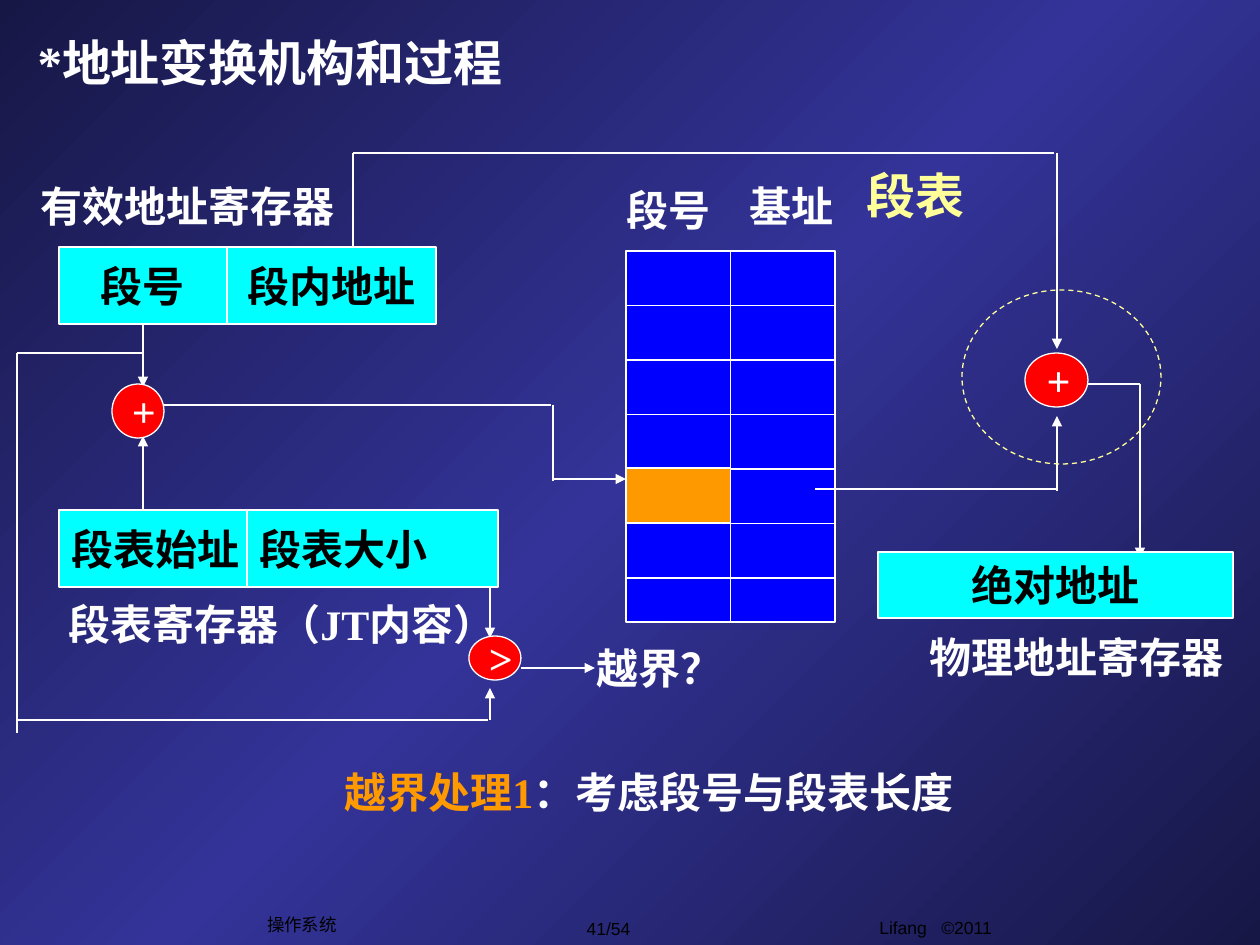
from copy import deepcopy

from pptx import Presentation
from pptx.dml.color import RGBColor
from pptx.enum.dml import MSO_LINE
from pptx.enum.shapes import MSO_CONNECTOR, MSO_SHAPE
from pptx.enum.text import MSO_ANCHOR, MSO_AUTO_SIZE, PP_ALIGN
from pptx.oxml.ns import qn
from pptx.util import Pt
from lxml.etree import SubElement

SCALE = 914400 / 126
NAVY = RGBColor(0x17, 0x17, 0x46)
INDIGO = RGBColor(0x33, 0x33, 0x99)
WHITE = RGBColor(0xFF, 0xFF, 0xFF)
BLACK = RGBColor(0, 0, 0)
CYAN = RGBColor(0, 0xFF, 0xFF)
RED = RGBColor(0xFF, 0, 0)
BLUE = RGBColor(0, 0, 0xFF)
ORANGE = RGBColor(0xFF, 0x99, 0)
YELLOW = RGBColor(0xFF, 0xFF, 0x99)
SERIF = "Times New Roman"
LEFT, MID = PP_ALIGN.LEFT, PP_ALIGN.CENTER
RECT, OVAL = MSO_SHAPE.RECTANGLE, MSO_SHAPE.OVAL

LABELS = [
    ("段表寄存器（JT内容）", (56, 592, 476, 63)),
    ("物理地址寄存器", (917, 625, 322, 63)),
    ("有效地址寄存器", (28, 174, 322, 63)),
    ("越界？", (584, 636, 154, 63)),
    ("段号", (614, 178, 114, 63)),
    ("基址", (737, 174, 114, 63)),
]
CELLS = [
    ("段号", (59, 247, 168, 77), MID),
    ("段内地址", (227, 247, 209, 77), MID),
    ("段表始址", (59, 510, 188, 77), LEFT),
    ("段表大小", (247, 510, 251, 77), LEFT),
    ("绝对地址", (878, 552, 355, 66), MID),
]
NODES = [
    ("+", (112, 384, 52, 54)),
    (">", (469, 636, 52, 44)),
    ("+", (1025, 353, 63, 54)),
]
WIRES = [
    (164, 405, 551, 405), (553, 405, 553, 481),
    (353, 251, 353, 153), (353, 153, 1054, 153),
    (143, 353, 17, 353), (17, 353, 17, 733), (17, 720, 488, 720),
    (815, 489, 1056, 489), (1088, 384, 1140, 384),
]
ARROWS = [
    (143, 321, 143, 387), (143, 513, 143, 436), (553, 479, 626, 479),
    (1057, 491, 1057, 416), (1057, 153, 1057, 349), (490, 584, 490, 638),
    (490, 720, 490, 688), (521, 668, 595, 668), (1140, 384, 1140, 558),
]


def emu(*vals):
    """Turn px lengths into EMU."""
    return [round(val * SCALE) for val in vals]


def style(part, size, color, face=SERIF, bold=True):
    """Format one run."""
    font = part.font
    font.name, font.size, font.bold = face, Pt(size), bold
    font.color.rgb = color


def write(shape, text, size, color, align=LEFT, wrap=False, **look):
    """Put one formatted paragraph into a shape."""
    frame = shape.text_frame
    frame.text = text
    frame.word_wrap = wrap
    line = frame.paragraphs[0]
    line.alignment = align
    style(line.runs[0], size, color, **look)
    return frame


def label(slide, text, box, size=24, color=WHITE, **look):
    """Add a text box."""
    shape = slide.shapes.add_textbox(*emu(*box))
    frame = write(shape, text, size, color, **look)
    frame.auto_size = MSO_AUTO_SIZE.SHAPE_TO_FIT_TEXT
    return frame


def block(slide, kind, box, fill=None, edge=WHITE):
    """Add a thinly outlined shape."""
    shape = slide.shapes.add_shape(kind, *emu(*box))
    shape.shadow.inherit = False
    if fill is None:
        shape.fill.background()
    else:
        shape.fill.solid()
        shape.fill.fore_color.rgb = fill
    shape.line.color.rgb = edge
    shape.line.width = Pt(0.75)
    return shape


def wire(slide, ends, tip=False):
    """Add a straight line, with an arrowhead if asked."""
    link = slide.shapes.add_connector(MSO_CONNECTOR.STRAIGHT, *emu(*ends))
    link.line.color.rgb = WHITE
    link.line.width = Pt(0.75)
    if tip:
        SubElement(link.line._get_or_add_ln(), qn("a:tailEnd"), type="triangle")
    SubElement(link._element.spPr, qn("a:effectLst"))


def paint(slide):
    """Fill the background with a diagonal three-stop gradient."""
    fill = slide.background.fill
    fill.gradient()
    fill.gradient_angle = 135
    stops = slide.element.find(".//" + qn("a:gsLst"))
    stops.insert(1, deepcopy(stops[0]))
    looks = zip(fill.gradient_stops, (0, 0.5, 1), (NAVY, INDIGO, NAVY))
    for stop, place, color in looks:
        stop.position = place
        stop.color.rgb = color


def head(slide):
    """Fill the title placeholder."""
    title = slide.shapes.title
    title.left, title.top, title.width, title.height = emu(25, 26, 493, 130)
    frame = write(title, "*地址变换机构和过程", 28, WHITE, wrap=True)
    frame.vertical_anchor = MSO_ANCHOR.TOP
    frame.auto_size = MSO_AUTO_SIZE.NONE


def foot(slide):
    """Add the three footer texts."""
    look = {"size": 10, "color": BLACK, "align": MID, "face": "Arial", "bold": False}
    label(slide, "Lifang   ©2011", (736, 911, 399, 44), wrap=True, **look)
    label(slide, "41/54", (544, 912, 129, 34), **look)
    label(slide, "操作系统", (247, 908, 110, 34), **look)


def grid(slide):
    """Draw the segment table with its chosen cell."""
    left, top, width, high, rows = 626, 251, 209, 371, 7
    step = 54.5
    half = left + width / 2
    block(slide, RECT, (left, top, width, high), BLUE)
    wire(slide, (half, top, half, top + high))
    for row in range(1, rows):
        y = top + row * step
        wire(slide, (left, y, left + width, y))
    block(slide, RECT, (left, top + 4 * step - 1, width / 2, step), ORANGE)


def main():
    """Build and save the slide."""
    deck = Presentation()
    deck.slide_width, deck.slide_height = emu(1260, 945)
    slide = deck.slides.add_slide(deck.slide_layouts[5])
    paint(slide)
    head(slide)
    foot(slide)
    grid(slide)
    for text, box in LABELS:
        label(slide, text, box)
    label(slide, "段表", (854, 159, 128, 72), 28, YELLOW)
    for ends in WIRES:
        wire(slide, ends)
    for ends in ARROWS:
        wire(slide, ends, True)
    for text, box, align in CELLS:
        frame = write(block(slide, RECT, box, CYAN), text, 24, BLACK, align)
        frame.vertical_anchor = MSO_ANCHOR.MIDDLE
    for text, box in NODES:
        frame = write(block(slide, OVAL, box, RED), text, 24, WHITE)
        frame.vertical_anchor = MSO_ANCHOR.MIDDLE
    ring = block(slide, OVAL, (962, 290, 199, 174), edge=YELLOW)
    ring.line.dash_style = MSO_LINE.DASH
    note = label(slide, "越界处理1", (332, 760, 702, 63), color=ORANGE, wrap=True)
    run = note.paragraphs[0].add_run()
    run.text = "：考虑段号与段表长度"
    style(run, 24, WHITE)
    deck.save("out.pptx")


if __name__ == "__main__":
    main()
